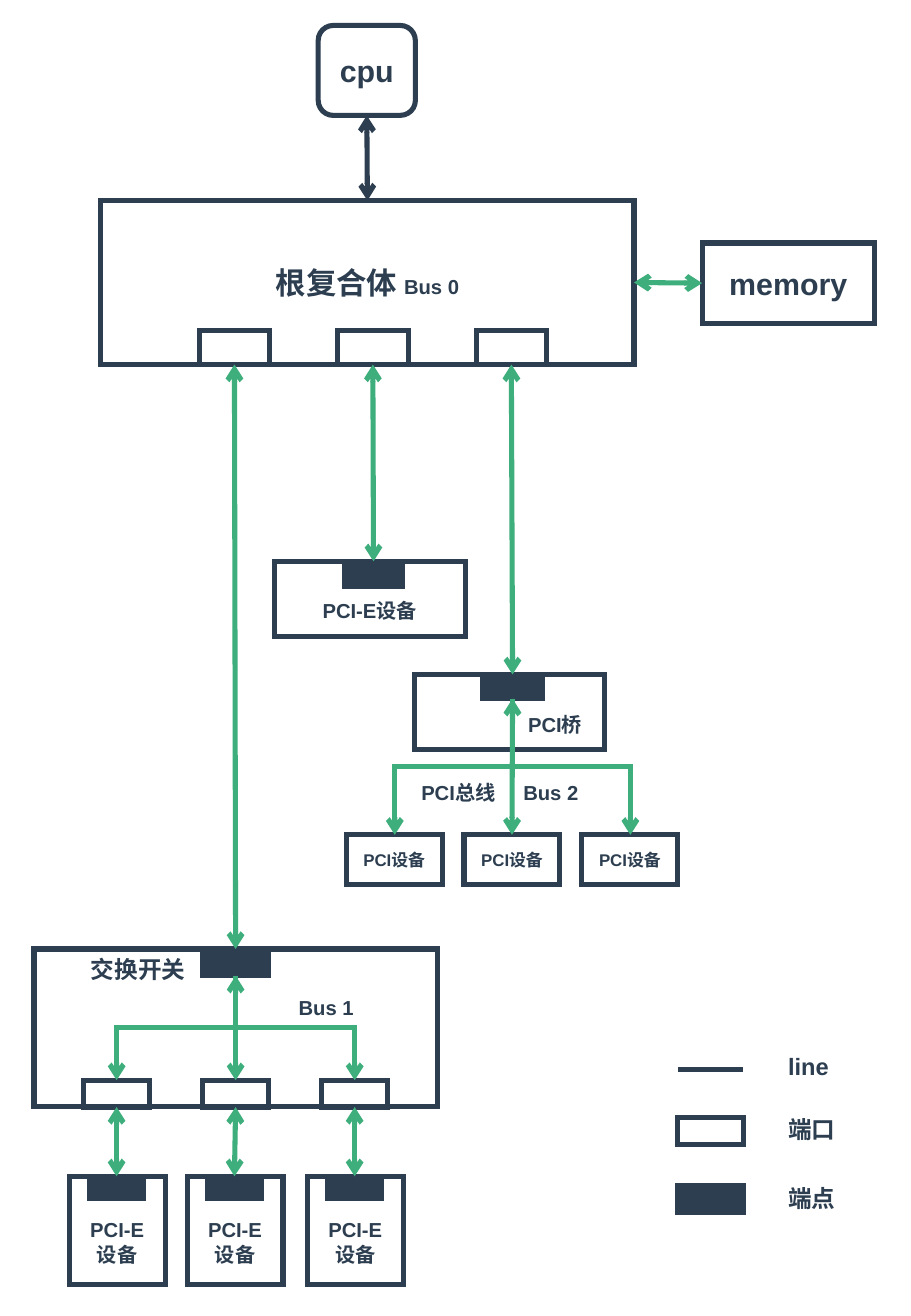
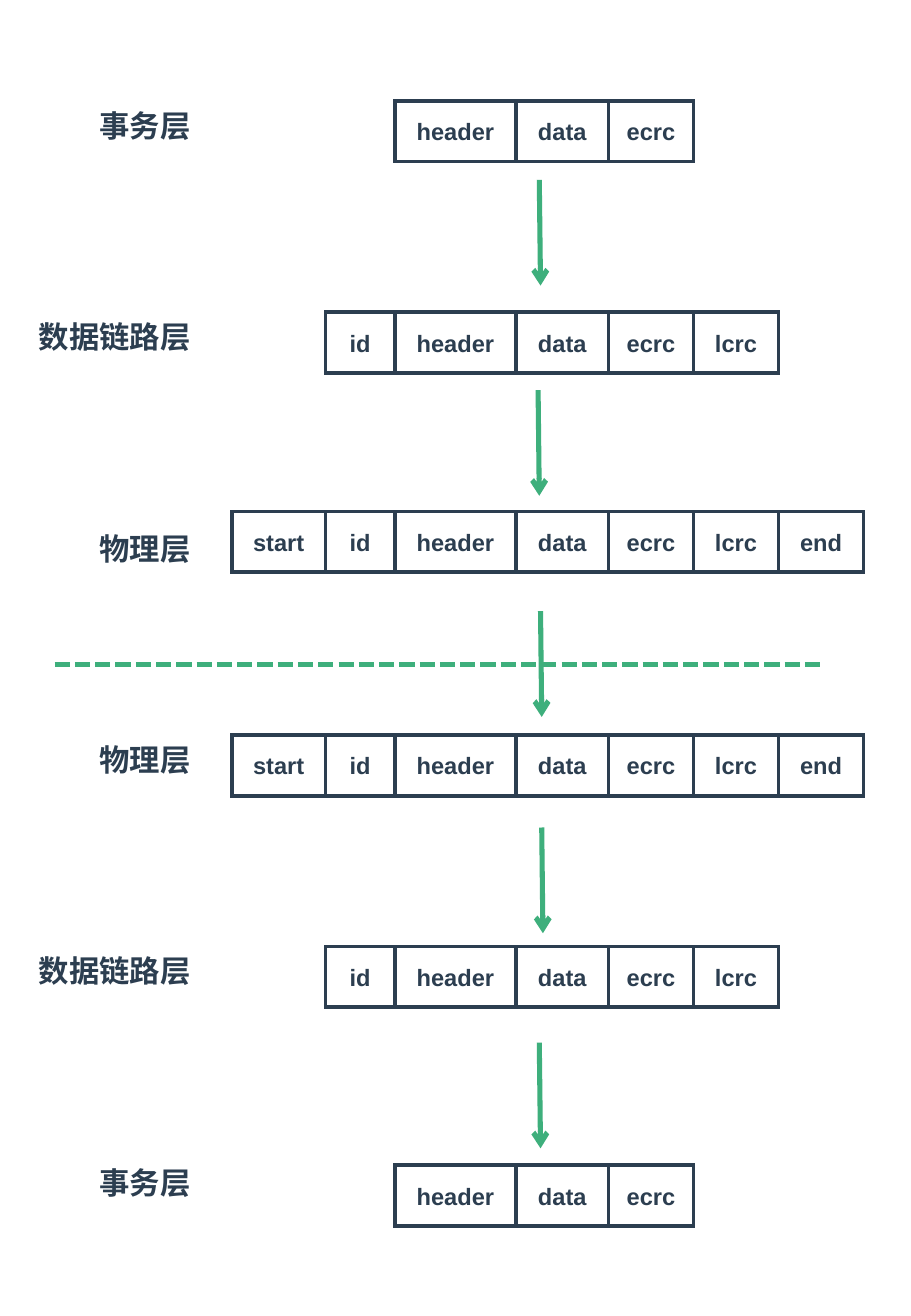
"""Build two slides: a bus topology diagram and the packet layers of its protocol."""
from dataclasses import dataclass
from typing import NamedTuple

from lxml.etree import SubElement
from pptx import Presentation
from pptx.dml.color import RGBColor
from pptx.enum.dml import MSO_LINE
from pptx.enum.lang import MSO_LANGUAGE_ID as Lang
from pptx.enum.shapes import MSO_CONNECTOR as Conn, MSO_SHAPE as Shape
from pptx.enum.text import MSO_ANCHOR as Anchor, PP_ALIGN as Align
from pptx.oxml.ns import qn
from pptx.util import Inches, Pt


@dataclass(frozen=True)
class Theme:
    ink: RGBColor = RGBColor(0x2C, 0x3E, 0x50)
    green: RGBColor = RGBColor(0x3E, 0xAF, 0x7C)
    font: str = "Arial"
    title: float = 18
    body: float = 14
    note: float = 12
    small: float = 10
    thick: float = 3
    thin: float = 2.25


T = Theme()
TOP, LEFT, BOTTOM, RIGHT = range(4)


class Run(NamedTuple):
    text: str
    size: float


@dataclass(frozen=True)
class Box:
    x: float
    y: float
    w: float
    h: float
    lines: tuple[tuple[Run, ...], ...] = ()
    solid: bool = False
    weight: float = T.thick
    kind: Shape = Shape.RECTANGLE
    inset_top: float = 0.05


class Label(NamedTuple):
    x: float
    y: float
    w: float
    h: float
    run: Run
    wrap: bool = False


class Layer(NamedTuple):
    name: str
    cells_y: float
    fields: tuple[str, ...]


def one(text: str, size: float) -> tuple[tuple[Run, ...], ...]:
    return ((Run(text, size),),)


def write(tf, lines, align) -> None:
    for i, runs in enumerate(lines):
        p = tf.paragraphs[0] if i == 0 else tf.add_paragraph()
        p.alignment = align
        for run in runs:
            r = p.add_run()
            r.text = run.text
            fmt = {"name": T.font, "size": Pt(run.size), "bold": True,
                   "language_id": Lang.SIMPLIFIED_CHINESE}
            for key, value in fmt.items():
                setattr(r.font, key, value)
            r.font.color.rgb = T.ink


def outline(sp, color, weight, dash=None, ends=()) -> None:
    sp.line.color.rgb = color
    sp.line.width = Pt(weight)
    if dash:
        sp.line.dash_style = dash
    ln = sp._element.spPr.find(qn("a:ln"))
    SubElement(ln, qn("a:miter")).set("lim", "800000")
    for end in ends:
        SubElement(ln, qn(f"a:{end}End")).set("type", "arrow")


def add_box(s, b: Box):
    sp = s.shapes.add_shape(b.kind, *map(Inches, (b.x, b.y, b.w, b.h)))
    sp.shadow.inherit = False
    if b.solid:
        sp.fill.solid()
        sp.fill.fore_color.rgb = T.ink
    else:
        sp.fill.background()
    outline(sp, T.ink, b.weight)
    tf = sp.text_frame
    fmt = {"word_wrap": True, "vertical_anchor": Anchor.MIDDLE,
           "margin_top": Inches(b.inset_top)}
    for key, value in fmt.items():
        setattr(tf, key, value)
    write(tf, b.lines, Align.CENTER)
    return sp


def add_label(s, label: Label) -> None:
    tf = s.shapes.add_textbox(*map(Inches, label[:4])).text_frame
    tf.word_wrap = label.wrap
    write(tf, ((label.run,),), Align.LEFT)


def add_line(s, x1: float, y1: float, x2: float, y2: float,
             color=T.green, dash=None, ends=(), kind=Conn.STRAIGHT):
    cx = s.shapes.add_connector(kind, *map(Inches, (x1, y1, x2, y2)))
    SubElement(cx._element.spPr, qn("a:effectLst"))
    outline(cx, color, T.thick, dash, ends)
    return cx


def join(s, start, start_site: int, end, end_site: int, color=T.green) -> None:
    cx = add_line(s, 0, 0, 1, 1, color, ends=("head", "tail"))
    cx.begin_connect(start, start_site)
    cx.end_connect(end, end_site)


def add_branch(s, x1: float, y1: float, x2: float, y2: float) -> None:
    run, rise = y2 - y1, abs(x2 - x1)
    mid_x, mid_y = (x1 + x2) / 2, (y1 + y2) / 2
    left, top = mid_x - run / 2, mid_y - rise / 2
    cx = add_line(s, left, top, left + run, top + rise, ends=("tail",), kind=Conn.ELBOW)
    xfrm = cx._element.spPr.find(qn("a:xfrm"))
    xfrm.set("rot", "5400000")
    if x2 > x1:
        xfrm.set("flipV", "1")


def draw_topology(s) -> None:
    cpu = add_box(s, Box(2.62, 0.21, 0.8, 0.74, one("cpu", T.title),
                         kind=Shape.ROUNDED_RECTANGLE))
    memory = add_box(s, Box(5.78, 2, 1.42, 0.66, one("memory", T.title)))
    root_text = ((Run("根复合体 ", T.title), Run("Bus 0", T.note)),)
    root = add_box(s, Box(0.83, 1.65, 4.39, 1.35, root_text))
    root_ports = [add_box(s, Box(1.64 + 1.14 * i, 2.72, 0.58, 0.28)) for i in range(3)]

    add_box(s, Box(0.28, 7.81, 3.32, 1.3))
    add_box(s, Box(2.26, 4.62, 1.57, 0.62, one("PCI-E设备", T.note), inset_top=0.24))
    add_box(s, Box(3.41, 5.55, 1.57, 0.62))
    switch_end, device_end, bridge_end = [
        add_box(s, Box(*at, solid=True))
        for at in ((1.67, 7.81, 0.54, 0.22), (2.84, 4.62, 0.47, 0.21), (3.97, 5.55, 0.5, 0.2))]

    join(s, cpu, BOTTOM, root, TOP, T.ink)
    join(s, root, RIGHT, memory, LEFT)
    for port, end in zip(root_ports, (switch_end, device_end, bridge_end)):
        join(s, port, BOTTOM, end, TOP)

    pcie_text = ((Run("PCI-E", T.note),), (Run("设备", T.note),))
    switch_ports = []
    for i, x in enumerate((0.57, 1.54, 2.53)):
        port = add_box(s, Box(0.69 + 0.98 * i, 8.89, 0.54, 0.22))
        add_box(s, Box(x, 9.68, 0.79, 0.89, pcie_text, inset_top=0.24))
        end = add_box(s, Box(x + 0.17, 9.68, 0.44, 0.18, solid=True))
        join(s, port, BOTTOM, end, TOP)
        switch_ports.append(port)
    pci_devices = [add_box(s, Box(2.85 + 0.97 * i, 6.87, 0.79, 0.41, one("PCI设备", T.small)))
                   for i in range(3)]

    for hub, (left, middle, right), x, y1, y2, step in (
            (switch_end, switch_ports, 1.94, 8.03, 8.89, 0.98),
            (bridge_end, pci_devices, 4.22, 5.75, 6.87, 0.97)):
        join(s, hub, BOTTOM, middle, TOP)
        for side in (-1, 1):
            add_branch(s, x, y1, x + side * step, y2)

    add_line(s, 5.58, 8.8, 6.12, 8.8, T.ink)
    add_box(s, Box(5.58, 9.2, 0.54, 0.22))
    add_box(s, Box(5.58, 9.76, 0.54, 0.22, solid=True))
    for label in (
            Label(0.65, 7.81, 0.98, 0.34, Run("交换开关", T.body)),
            Label(4.25, 5.81, 0.67, 0.3, Run("PCI桥", T.note), True),
            Label(3.37, 6.37, 0.84, 0.3, Run("PCI总线", T.note), True),
            Label(4.21, 6.37, 0.72, 0.3, Run("Bus 2", T.note)),
            Label(2.36, 8.14, 0.72, 0.3, Run("Bus 1", T.note)),
            Label(6.39, 8.61, 0.6, 0.34, Run("line", T.body)),
            Label(6.39, 9.13, 0.59, 0.34, Run("端口", T.body)),
            Label(6.39, 9.69, 0.59, 0.34, Run("端点", T.body))):
        add_label(s, label)


def draw_layers(s) -> None:
    widths = {"start": 0.77, "id": 0.57, "header": 1, "data": 0.76,
              "ecrc": 0.7, "lcrc": 0.7, "end": 0.7}
    lefts, x = {}, 1.91
    for field, w in widths.items():
        lefts[field] = x
        x += w
    physical = tuple(widths)
    link, transaction = physical[1:6], physical[2:5]

    add_line(s, 0.45, 5.47, 6.79, 5.47, dash=MSO_LINE.SQUARE_DOT)
    layers = (
        Layer("事务层", 0.83, transaction), Layer("数据链路层", 2.57, link),
        Layer("物理层", 4.21, physical), Layer("物理层", 6.05, physical),
        Layer("数据链路层", 7.79, link), Layer("事务层", 9.59, transaction))
    for i, layer in enumerate(layers):
        w = 0.2 + 0.25 * len(layer.name)
        add_label(s, Label(1.67 - w, 0.83 + 1.74 * i, w, 0.4, Run(layer.name, T.title)))
        for field in layer.fields:
            add_box(s, Box(lefts[field], layer.cells_y, widths[field], 0.5,
                           one(field, T.body), weight=T.thin))
    for x, y in ((4.44, 1.48), (4.43, 3.21), (4.45, 5.03), (4.46, 6.81), (4.44, 8.58)):
        add_line(s, x, y, x + 0.01, y + 0.87, ends=("tail",))


def main() -> None:
    prs = Presentation()
    prs.slide_width, prs.slide_height = Inches(7.5), Inches(10.83)
    for draw in (draw_topology, draw_layers):
        draw(prs.slides.add_slide(prs.slide_layouts[6]))
    prs.save("out.pptx")


if __name__ == "__main__":
    main()
